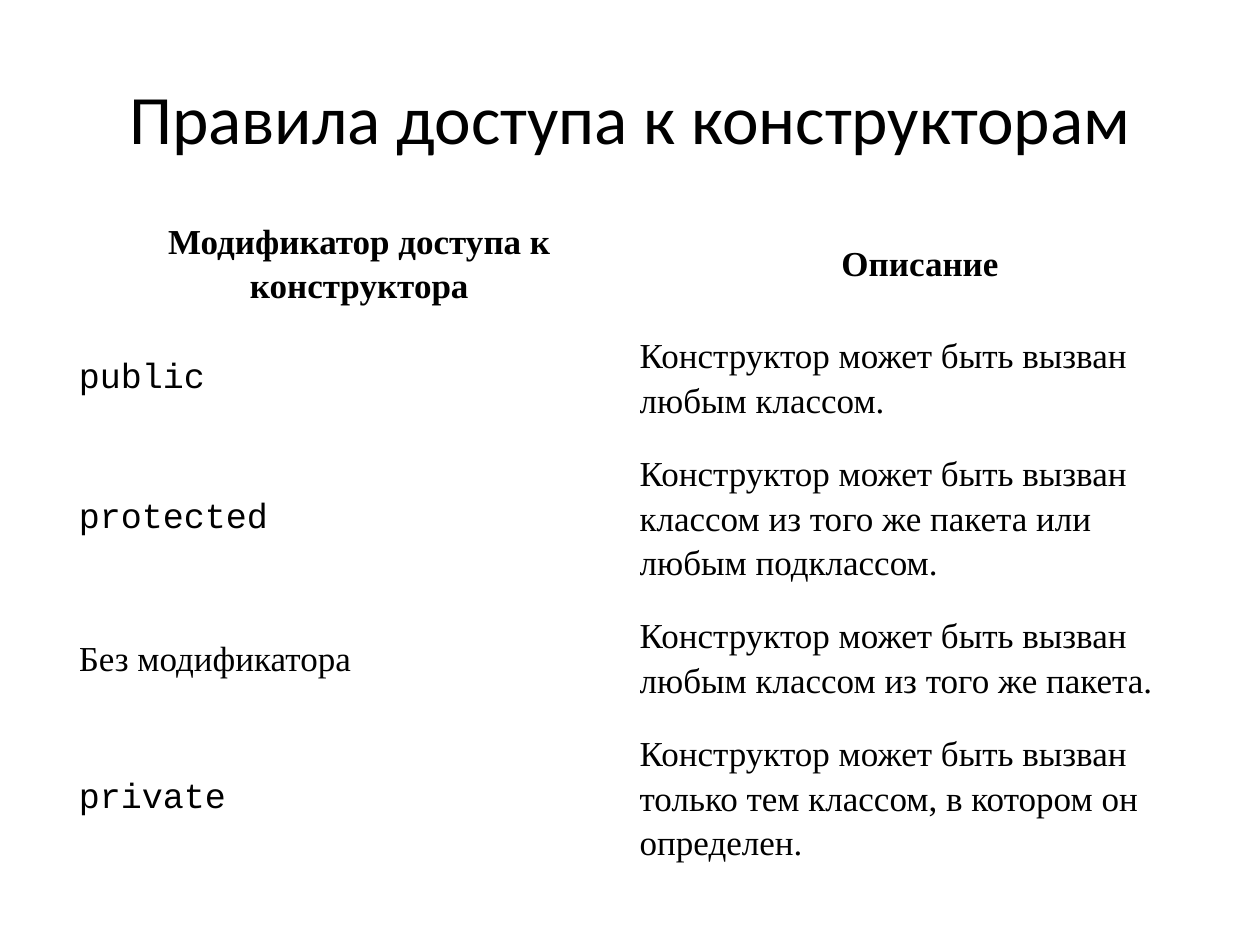
import pptx
import pptx.util
import pptx.dml.color
import pptx.enum.text

Pt = pptx.util.Pt
ALIGN = pptx.enum.text.PP_ALIGN
MIDDLE = pptx.enum.text.MSO_ANCHOR.MIDDLE
BLACK = pptx.dml.color.RGBColor(0, 0, 0)
SERIF, MONO = "Times New Roman", "Courier New"


def write(tf, text, size=20, font=SERIF, bold=False, align=ALIGN.LEFT, spacing=1.15):
    p = tf.paragraphs[0]
    p.alignment = align
    p.line_spacing = spacing
    r = p.add_run()
    r.text = text
    r.font.size = Pt(size)
    r.font.name = font
    r.font.bold = bold
    r.font.color.rgb = BLACK


prs = pptx.Presentation()
prs.slide_width, prs.slide_height = Pt(720), Pt(540)
s = prs.slides.add_slide(prs.slide_layouts[5])

title = s.shapes.title
title.left, title.top, title.width, title.height = Pt(36), Pt(21.6), Pt(648), Pt(90)
title.text_frame.vertical_anchor = MIDDLE
write(title.text_frame, "Правила доступа к конструкторам", size=39.6,
      font="Calibri", align=ALIGN.CENTER, spacing=1.0)

rows = [
    ("Модификатор доступа к конструктора", "Описание"),
    ("public", "Конструктор может быть вызван любым классом."),
    ("protected", "Конструктор может быть вызван классом из того же пакета "
                  "или любым подклассом."),
    ("Без модификатора", "Конструктор может быть вызван любым классом "
                         "из того же пакета."),
    ("private", "Конструктор может быть вызван только тем классом, "
                "в котором он определен."),
]
keywords = {"public", "protected", "private"}

table = s.shapes.add_table(len(rows), 2, Pt(45), Pt(124), Pt(641), Pt(360)).table
table.first_row = False
table.horz_banding = False
for column in table.columns:
    column.width = Pt(320.5)

for i, texts in enumerate(rows):
    header = i == 0
    table.rows[i].height = Pt(40 if header else 80)
    for j, text in enumerate(texts):
        cell = table.cell(i, j)
        cell.fill.background()
        cell.vertical_anchor = MIDDLE
        cell.margin_left = cell.margin_right = cell.margin_top = cell.margin_bottom = 0
        write(cell.text_frame, text, font=MONO if text in keywords else SERIF,
              bold=header, align=ALIGN.CENTER if header else ALIGN.LEFT)

prs.save("out.pptx")
